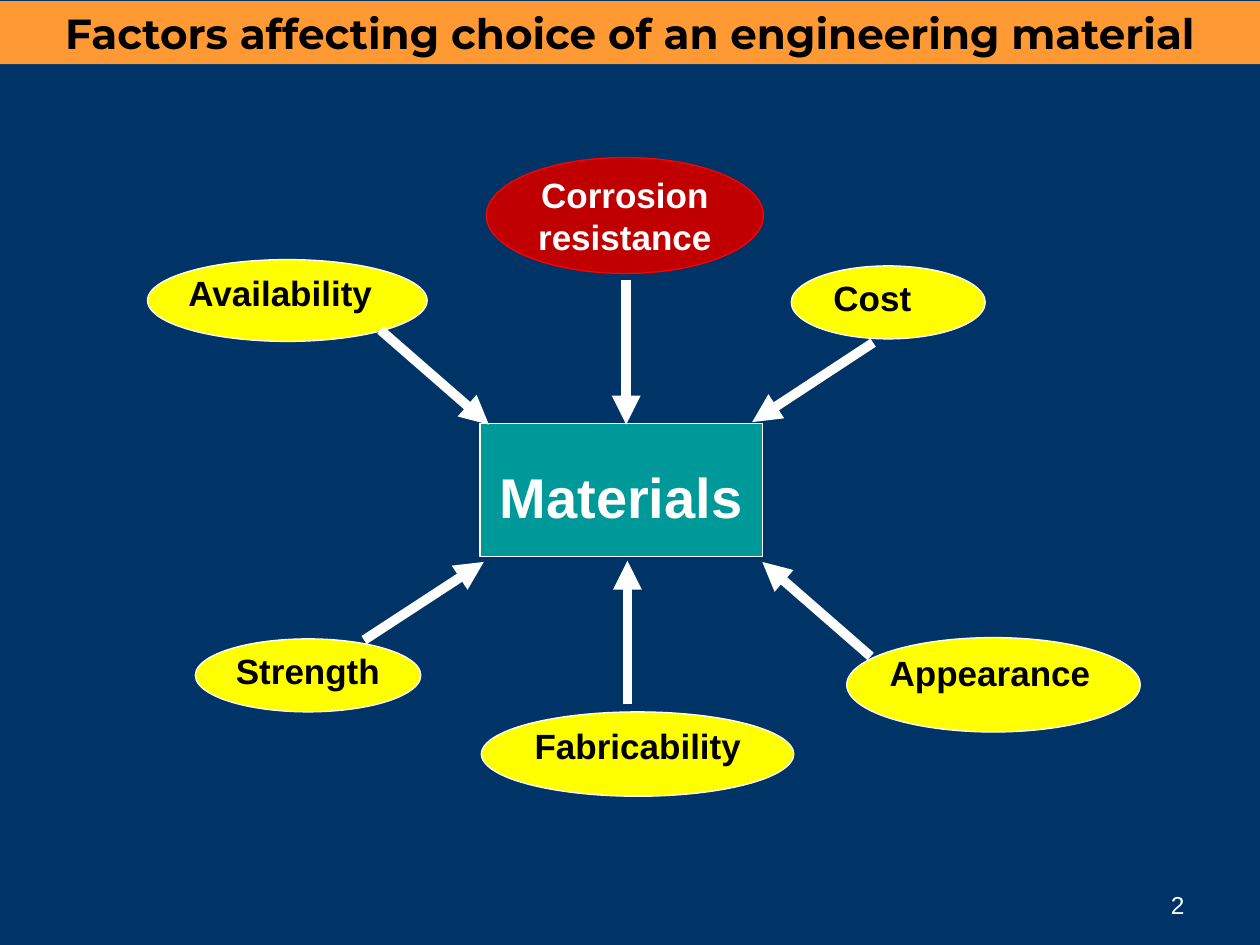
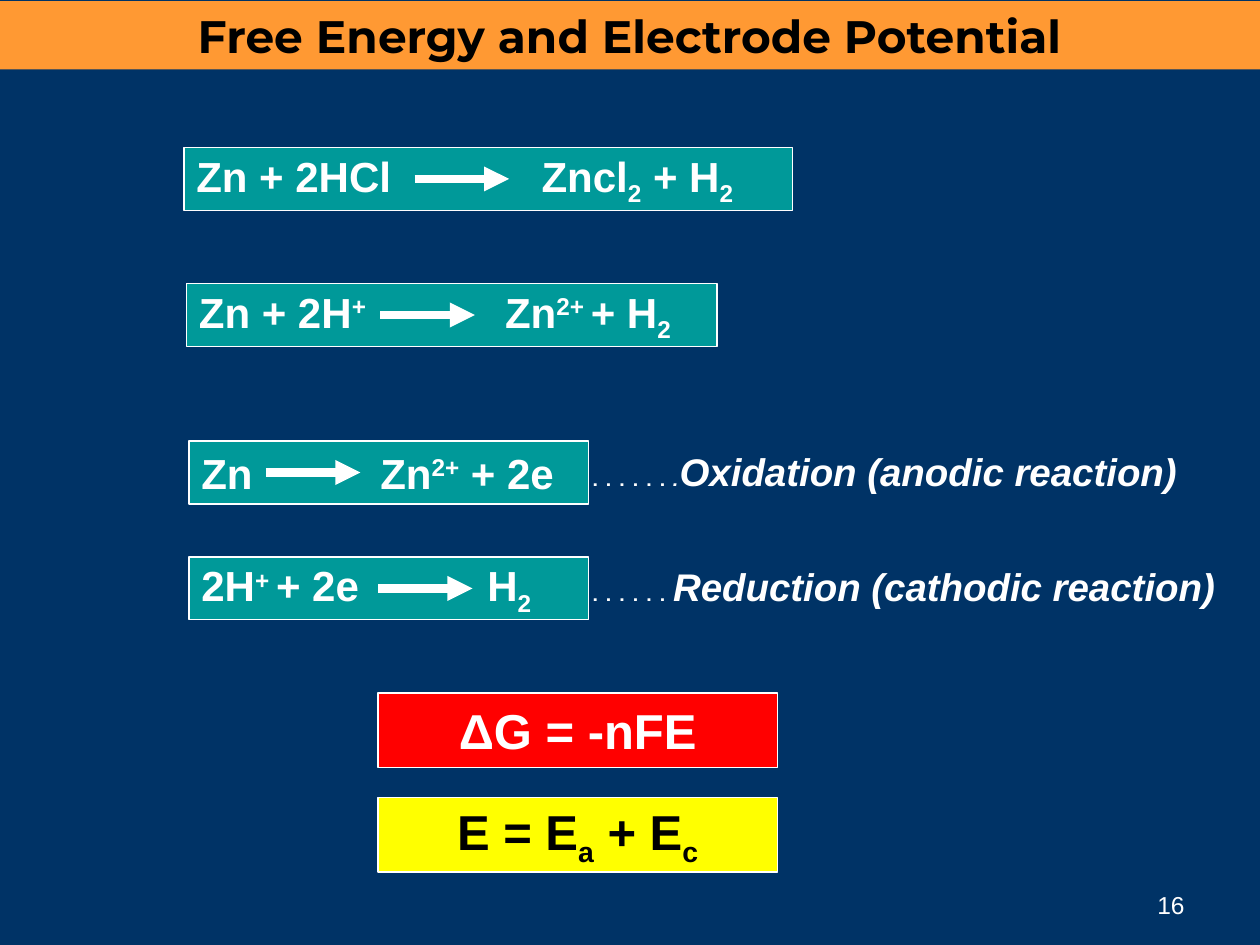
import pptx
import pptx.dml.color
import pptx.enum.shapes
import pptx.enum.text
import pptx.oxml.ns
import pptx.oxml.xmlchemy
import pptx.util

Inches, Pt = pptx.util.Inches, pptx.util.Pt
RGB = pptx.dml.color.RGBColor
SHAPE = pptx.enum.shapes.MSO_SHAPE
ALIGN = pptx.enum.text.PP_ALIGN
ANCHOR = pptx.enum.text.MSO_ANCHOR
qn = pptx.oxml.ns.qn
new_element = pptx.oxml.xmlchemy.OxmlElement

NAVY = RGB(0x00, 0x33, 0x66)
ORANGE = RGB(0xFF, 0x99, 0x33)
TEAL = RGB(0x00, 0x99, 0x99)
YELLOW = RGB(0xFF, 0xFF, 0x00)
RED = RGB(0xFF, 0x00, 0x00)
DARK_RED = RGB(0xC0, 0x00, 0x00)
WHITE = RGB(0xFF, 0xFF, 0xFF)
BLACK = RGB(0x00, 0x00, 0x00)

SUB, SUPER = -25, 30

# Slide 1: text, (left, top, width, height), text indent
FACTORS = [
    ("Availability", (1.17, 2.06, 2.22, 0.65), 0),
    ("Cost", (6.28, 2.11, 1.54, 0.58), 0.11),
    ("Strength", (1.55, 5.07, 1.79, 0.58), 0.06),
    ("Appearance", (6.72, 5.06, 2.33, 0.75), 0),
    ("Fabricability", (3.82, 5.65, 2.48, 0.67), 0.06),
]
# Each arrow points from a factor to the materials box
FACTOR_ARROWS = [
    ((4.97, 2.22), (4.97, 3.37)),
    ((4.98, 5.59), (4.98, 4.45)),
    ((3.02, 2.62), (3.88, 3.37)),
    ((6.93, 2.72), (5.97, 3.35)),
    ((6.91, 5.21), (6.05, 4.46)),
    ((2.89, 5.08), (3.84, 4.46)),
]

# Slide 2: (left, top, width), arrow start, tab stop of the products, parts
REACTIONS = [
    ((1.46, 1.17, 4.83), 3.29, 2.74,
     [("Zn + 2HCl\tZncl", 0), ("2", SUB), (" + H", 0), ("2", SUB)]),
    ((1.48, 2.25, 4.21), 3.02, 2.43,
     [("Zn + 2H", 0), ("+", SUPER), ("\tZn", 0), ("2+ ", SUPER),
      ("+ H", 0), ("2", SUB)]),
    ((1.5, 3.5, 3.17), 2.11, 1.42,
     [("Zn\tZn", 0), ("2+", SUPER), (" + 2e", 0)]),
    ((1.5, 4.42, 3.17), 3.0, 2.27,
     [("2H", 0), ("+ ", SUPER), ("+ 2e\tH", 0), ("2", SUB)]),
]
REACTION_HEIGHT, REACTION_ARROW = 0.5, 0.75
DOTS = ". . . . . . "
# top, extra dot, name of the half reaction
HALF_REACTIONS = [
    (3.51, ".", "Oxidation (anodic reaction)"),
    (4.42, "", "Reduction (cathodic reaction)"),
]
# top, fill, text colour, parts
FORMULAS = [
    (5.5, RED, WHITE, [("ΔG = -nFE", 0)]),
    (6.33, YELLOW, BLACK, [("E = E", 0), ("a", SUB), (" + E", 0), ("c", SUB)]),
]


def add_span(para, text, size, color, font="Arial", bold=True, italic=False, base=0):
    """Add one formatted run, raised or lowered by base percent."""
    span = para.add_run()
    span.text = text
    span.font.name, span.font.size = font, Pt(size)
    span.font.bold, span.font.italic = bold, italic
    span.font.color.rgb = color
    if base:
        span._r.get_or_add_rPr().set("baseline", str(base * 1000))


def add_parts(para, parts, size, color):
    """Add the runs of a formula with its subscripts and superscripts."""
    for text, base in parts:
        add_span(para, text, size, color, base=base)


def add_panel(page, kind, place, fill, line=WHITE, align=ALIGN.LEFT):
    """Add an outlined shape and return it with its first paragraph."""
    box = page.shapes.add_shape(kind, *map(Inches, place))
    box.shadow.inherit = False
    box.fill.solid()
    box.fill.fore_color.rgb = fill
    box.line.color.rgb, box.line.width = line, Pt(0.75)
    box.text_frame.word_wrap = True
    box.text_frame.vertical_anchor = ANCHOR.MIDDLE
    para = box.text_frame.paragraphs[0]
    para.alignment = align
    return box, para


def clear_margins(frame, left=0, top=0):
    """Remove the insets of a text frame, save for the ones given."""
    frame.margin_left, frame.margin_top = Inches(left), Inches(top)
    frame.margin_right = frame.margin_bottom = 0


def add_label(page, place):
    """Add a plain text box and return its frame."""
    frame = page.shapes.add_textbox(*map(Inches, place)).text_frame
    frame.word_wrap = True
    return frame


def add_arrow(page, start, end, width):
    """Add a white arrow with a triangular head at its end."""
    arrow = page.shapes.add_connector(
        pptx.enum.shapes.MSO_CONNECTOR.STRAIGHT, *map(Inches, start + end))
    arrow.line.color.rgb, arrow.line.width = WHITE, Pt(width)
    properties = arrow._element.spPr
    head = new_element("a:tailEnd")
    head.set("type", "triangle")
    properties.find(qn("a:ln")).append(head)
    properties.append(new_element("a:effectLst"))


def set_tab(para, position):
    """Give a paragraph one left tab stop."""
    stops = new_element("a:tabLst")
    stop = new_element("a:tab")
    stop.set("pos", str(Inches(position)))
    stop.set("algn", "l")
    stops.append(stop)
    para._p.get_or_add_pPr().append(stops)


def add_page(deck, title, size, height, number):
    """Add a slide with its title band and page number."""
    page = deck.slides.add_slide(deck.slide_layouts.get_by_name("Title Only"))
    band = page.shapes.title
    band.left, band.top = 0, Inches(0.01)
    band.width, band.height = deck.slide_width, Inches(height)
    band.fill.solid()
    band.fill.fore_color.rgb = ORANGE
    frame = band.text_frame
    frame.auto_size = pptx.enum.text.MSO_AUTO_SIZE.NONE
    frame.vertical_anchor = ANCHOR.MIDDLE
    frame.paragraphs[0].alignment = ALIGN.CENTER
    add_span(frame.paragraphs[0], title, size, BLACK, "Montserrat")

    footer = add_label(page, (7.17, 6.83, 2.33, 0.52))
    footer.vertical_anchor = ANCHOR.BOTTOM
    footer.paragraphs[0].alignment = ALIGN.RIGHT
    add_span(footer.paragraphs[0], number, 14, WHITE, bold=False)
    return page


def build_factors(deck):
    """Build the diagram of factors around the materials box."""
    page = add_page(deck, "Factors affecting choice of an engineering material",
                    24, 0.5, "2")
    box, para = add_panel(page, SHAPE.RECTANGLE, (3.81, 3.36, 2.24, 1.06), TEAL,
                          align=ALIGN.CENTER)
    clear_margins(box.text_frame, top=0.1)
    add_span(para, "Materials", 32, WHITE)

    box, para = add_panel(page, SHAPE.OVAL, (3.86, 1.25, 2.2, 0.92), DARK_RED,
                          RED, ALIGN.CENTER)
    clear_margins(box.text_frame)
    add_span(para, "Corrosion resistance", 20, WHITE)

    for name, place, indent in FACTORS:
        box, para = add_panel(page, SHAPE.OVAL, place, YELLOW)
        clear_margins(box.text_frame, left=indent)
        box.text_frame.vertical_anchor = ANCHOR.TOP
        add_span(para, name, 20, BLACK)
    for start, end in FACTOR_ARROWS:
        add_arrow(page, start, end, 5.5)


def build_reactions(deck):
    """Build the list of reactions and the two formulas."""
    page = add_page(deck, "Free Energy and Electrode Potential", 26, 0.54, "16")
    for place, arrow_left, tab, parts in REACTIONS:
        box, para = add_panel(page, SHAPE.RECTANGLE, place + (REACTION_HEIGHT,), TEAL)
        set_tab(para, tab)
        add_parts(para, parts, 24, WHITE)
        middle = place[1] + REACTION_HEIGHT / 2
        add_arrow(page, (arrow_left, middle),
                  (arrow_left + REACTION_ARROW, middle), 4.75)

    for top, dot, name in HALF_REACTIONS:
        para = add_label(page, (4.6, top, 5.65, 0.47)).paragraphs[0]
        add_span(para, DOTS, 18, WHITE, "Cabin", bold=False)
        if dot:
            add_span(para, dot, 18, WHITE, "Cabin", bold=False, italic=True)
        add_span(para, name, 22, WHITE, italic=True)

    for top, fill, color, parts in FORMULAS:
        box, para = add_panel(page, SHAPE.RECTANGLE, (3, top, 3.17, 0.59), fill,
                              align=ALIGN.CENTER)
        add_parts(para, parts, 28, color)


deck = pptx.Presentation()
deck.slide_width, deck.slide_height = Inches(10), Inches(7.5)
backdrop = deck.slide_master.background.fill
backdrop.solid()
backdrop.fore_color.rgb = NAVY
build_factors(deck)
build_reactions(deck)
deck.save("out.pptx")
